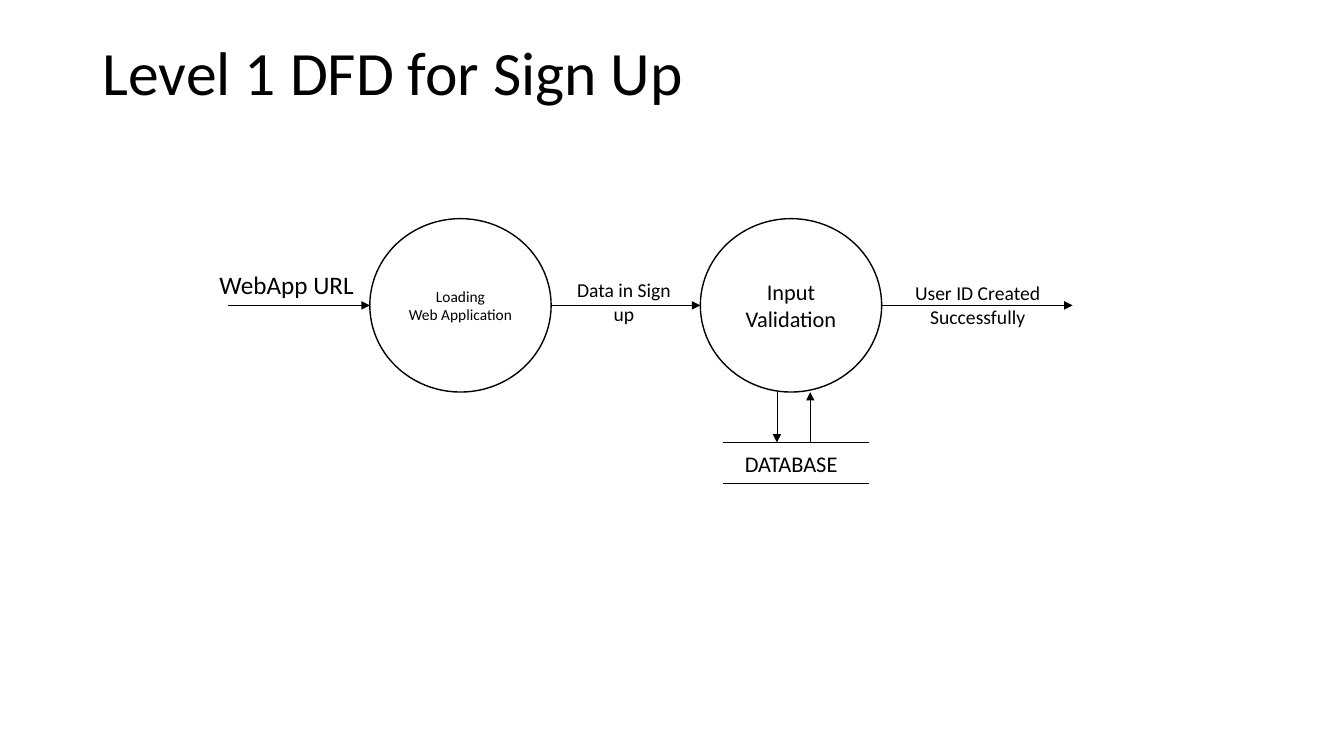
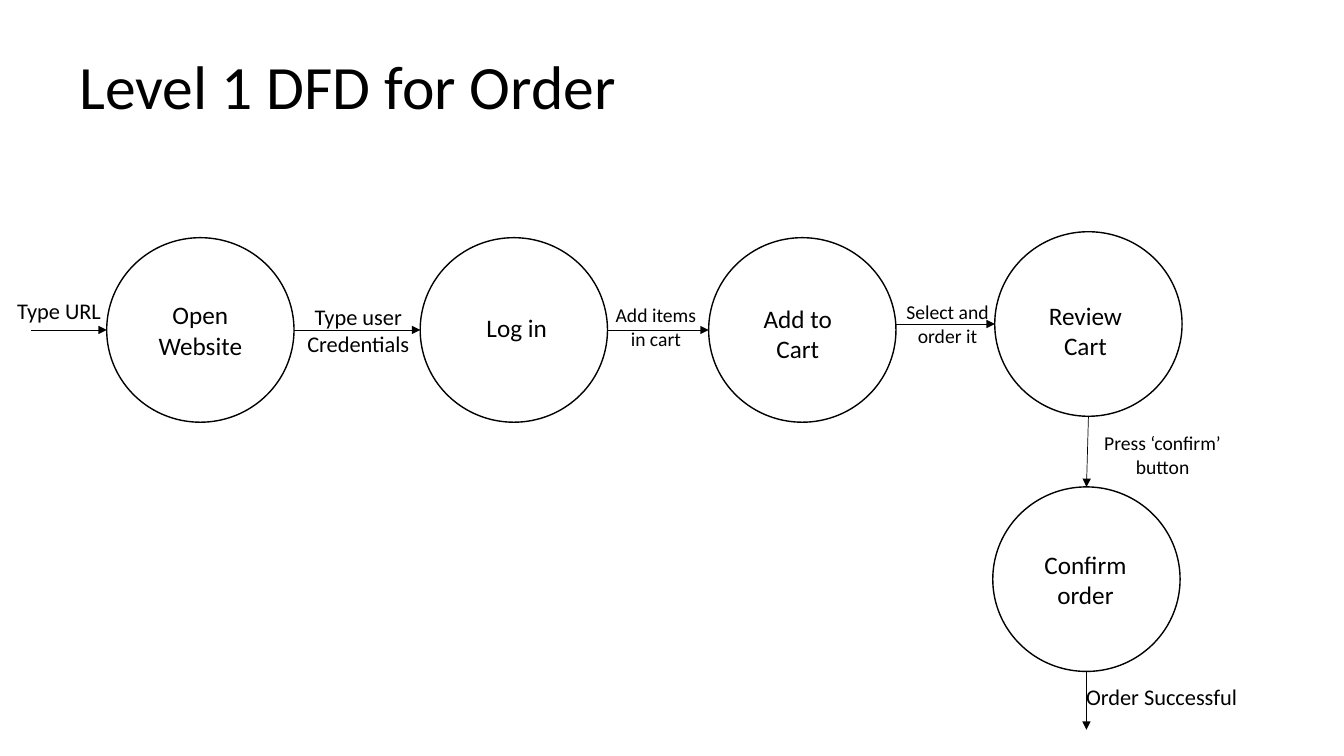
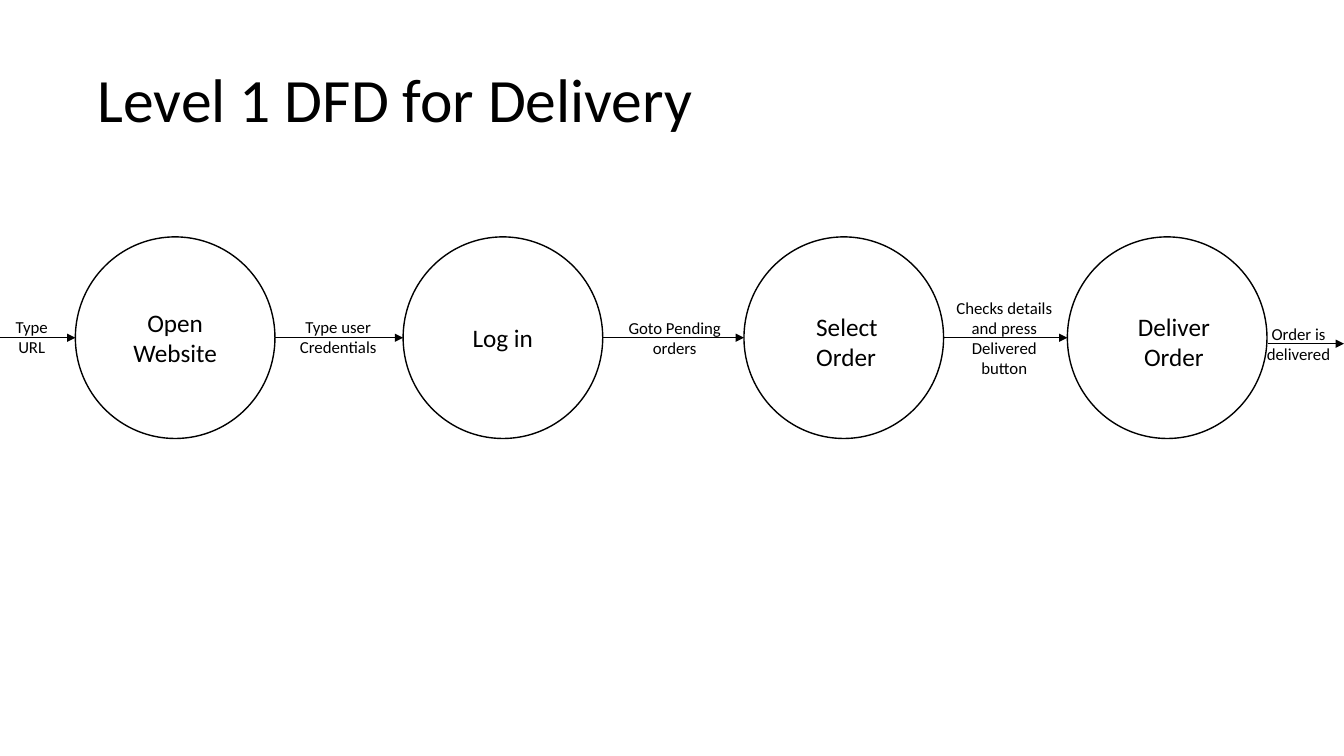
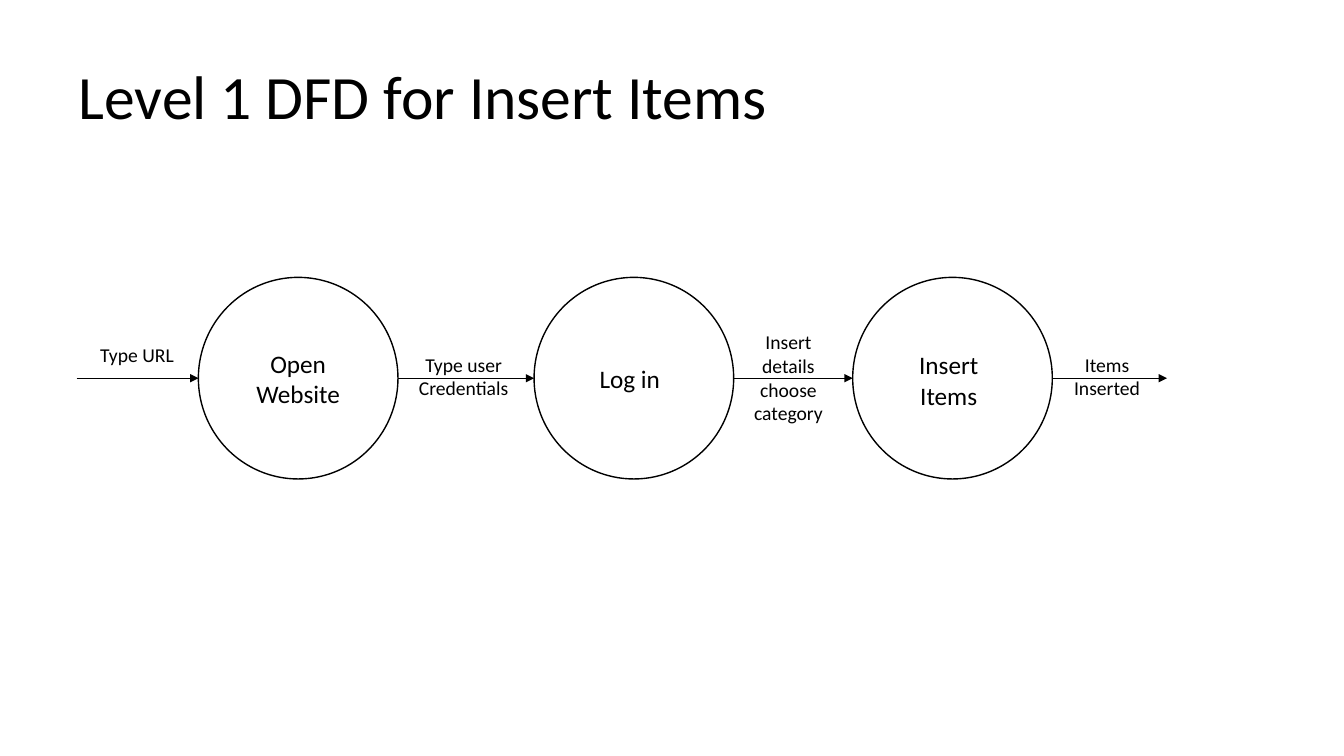
from lxml.etree import SubElement
from pptx import Presentation
from pptx.dml.color import RGBColor
from pptx.enum.shapes import MSO_CONNECTOR, MSO_SHAPE
from pptx.enum.text import MSO_ANCHOR, PP_ALIGN
from pptx.oxml.ns import qn
from pptx.util import Cm, Pt

FONT = "Calibri"
INK, PAPER = "000000", "FFFFFF"
LEFT, CENTER = PP_ALIGN.LEFT, PP_ALIGN.CENTER

# All lengths are centimetres.
# processes: left, top, text, text size; "row" is chained by arrows.
# entry and exit: the x where the first arrow starts and the last one ends.
# arrows and rules: x1, y1, x2, y2.
# labels: text, left, top, width, height, text size, alignment.
DIAGRAMS = [
    {
        "title": "Level 1 DFD for Sign Up",
        "title_box": (2.34, 1.02, 29.21, 1.78),
        "process_size": (4.57, 4.37),
        "row": [(9.32, 5.51, "Loading\nWeb Application", 11),
                (17.65, 5.51, "Input Validation", 16)],
        "entry": 5.74,
        "exit": 27.03,
        "arrows": [(20.42, 11.15, 20.42, 9.88), (19.58, 9.88, 19.58, 11.15)],
        "rules": [(18.21, 11.15, 21.89, 11.15), (18.21, 12.17, 21.89, 12.17)],
        "labels": [
            ("WebApp URL", 5.28, 6.65, 4.72, 1.02, 18, LEFT),
            ("Data in Sign up", 14.05, 6.88, 3.35, 1.45, 14, CENTER),
            ("DATABASE", 18.52, 11.23, 3, 0.94, 16, LEFT),
            ("User ID Created\nSuccessfully", 21.67, 6.96, 5.94, 1.45, 14, CENTER),
        ],
    },
    {
        "title": "Level 1 DFD for Order",
        "title_box": (1.75, 0.41, 29.21, 3.68),
        "process_size": (4.72, 4.65),
        "row": [(2.69, 5.99, "Open Website", 18), (10.59, 5.99, "", 18),
                (17.86, 5.99, "", 18), (25.07, 5.84, "", 18)],
        "below": [(25.02, 12.27, "", 18)],
        "entry": 0.79,
        "arrows": [(27.43, 10.49, 27.38, 12.27), (27.38, 16.92, 27.38, 18.39)],
        "labels": [
            ("Type URL", 0.08, 7.37, 2.82, 0.94, 16, CENTER),
            ("Type user\nCredentials", 7.06, 7.52, 3.94, 1.63, 16, CENTER),
            ("Log in", 12.01, 7.75, 2.08, 1.02, 18, LEFT),
            ("Add items in cart", 15.21, 7.52, 2.64, 1.45, 14, CENTER),
            ("Add to Cart", 18.44, 7.52, 3.33, 1.8, 18, CENTER),
            ("Select and\norder it", 22, 7.44, 3.76, 1.45, 14, CENTER),
            ("Review Cart", 25.68, 7.44, 3.35, 1.8, 18, CENTER),
            ("Press ‘confirm’ button", 26.95, 10.74, 4.7, 1.45, 14, CENTER),
            ("Confirm order", 25.45, 13.72, 3.81, 1.8, 18, CENTER),
            ("Order Successful", 26.52, 17.09, 5.51, 0.94, 16, CENTER),
        ],
    },
    {
        "title": "Level 1 DFD for Delivery",
        "title_box": (2.21, 0.43, 31.17, 4.32),
        "process_size": (5.03, 5.08),
        "row": [(1.9, 5.97, "Open Website", 18), (10.16, 5.97, "", 18),
                (18.75, 5.97, "", 18), (26.9, 5.97, "", 18)],
        "entry": 0,
        "arrows": [(31.95, 8.66, 33.87, 8.66)],
        "labels": [
            ("Type URL", 0, 7.85, 1.6, 1.27, 12, CENTER),
            ("Type user\nCredentials", 6.15, 7.85, 4.75, 1.27, 12, CENTER),
            ("Log in", 11.66, 8, 3.33, 1.02, 18, LEFT),
            ("Goto Pending\norders", 14.96, 7.87, 4.09, 1.27, 12, CENTER),
            ("Select Order", 20.32, 7.72, 2.97, 1.8, 18, LEFT),
            ("Checks details and press Delivered button",
             23.72, 7.37, 3.18, 2.31, 12, CENTER),
            ("Deliver Order", 27.64, 7.72, 3.89, 1.8, 18, CENTER),
            ("Order is delivered", 31.6, 8.03, 2.25, 1.27, 12, CENTER),
        ],
    },
    {
        "title": "Level 1 DFD for Insert Items",
        "title_box": (1.73, 0.33, 31.14, 4.34),
        "process_size": (5.03, 5.08),
        "row": [(5, 6.99, "Open Website", 18), (13.46, 6.99, "", 18),
                (21.49, 6.99, "", 18)],
        "entry": 1.93,
        "exit": 29.41,
        "labels": [
            ("Type URL", 1.93, 8.51, 3.05, 0.86, 14, CENTER),
            ("Type user\nCredentials", 9.93, 8.76, 3.51, 1.45, 14, CENTER),
            ("Log in", 14.86, 9.02, 3.18, 1.02, 18, LEFT),
            ("Insert details choose category", 18.36, 8.2, 3.02, 2.64, 14, CENTER),
            ("Insert Items", 22.17, 8.69, 3.48, 1.8, 18, CENTER),
            ("Items Inserted", 26.39, 8.76, 3.02, 1.45, 14, CENTER),
        ],
    },
]


def color(hex_code):
    return RGBColor.from_string(hex_code)


def write(frame, text, size, align, anchor, line_spacing=None):
    frame.word_wrap = True
    frame.vertical_anchor = anchor
    frame.text = text
    for paragraph in frame.paragraphs:
        paragraph.alignment = align
        paragraph.line_spacing = line_spacing
        paragraph.font.name = FONT
        paragraph.font.size = Pt(size)
        paragraph.font.color.rgb = color(INK)


def add_title(slide, text, box):
    frame = slide.shapes.add_textbox(*map(Cm, box)).text_frame
    write(frame, text, 44, LEFT, MSO_ANCHOR.MIDDLE, 0.9)


def add_label(slide, text, left, top, width, height, size, align):
    box = slide.shapes.add_textbox(Cm(left), Cm(top), Cm(width), Cm(height))
    write(box.text_frame, text, size, align, MSO_ANCHOR.TOP)


def add_process(slide, left, top, width, height, text, size):
    circle = slide.shapes.add_shape(
        MSO_SHAPE.OVAL, Cm(left), Cm(top), Cm(width), Cm(height))
    circle.shadow.inherit = False
    circle.fill.solid()
    circle.fill.fore_color.rgb = color(PAPER)
    circle.line.color.rgb = color(INK)
    circle.line.width = Pt(1)
    if text:
        write(circle.text_frame, text, size, CENTER, MSO_ANCHOR.MIDDLE)


def add_line(slide, ends, arrow):
    connector = slide.shapes.add_connector(MSO_CONNECTOR.STRAIGHT, *map(Cm, ends))
    connector.line.color.rgb = color(INK)
    connector.line.width = Pt(0.5)
    properties = connector._element.spPr
    if arrow:
        SubElement(properties.find(qn("a:ln")), qn("a:tailEnd"), type="triangle")
    SubElement(properties, qn("a:effectLst"))


def row_arrows(diagram):
    """Return the level arrows into, between and out of the processes in the row."""
    width, height = diagram["process_size"]
    arrows = []
    start = diagram["entry"]
    for left, top, _, _ in diagram["row"]:
        middle = top + height / 2
        arrows.append((start, middle, left, middle))
        start = left + width
    if "exit" in diagram:
        arrows.append((start, middle, diagram["exit"], middle))
    return arrows


def add_diagram(presentation, diagram):
    slide = presentation.slides.add_slide(presentation.slide_layouts[6])
    add_title(slide, diagram["title"], diagram["title_box"])
    for left, top, text, size in diagram["row"] + diagram.get("below", []):
        add_process(slide, left, top, *diagram["process_size"], text, size)
    for ends in row_arrows(diagram) + diagram.get("arrows", []):
        add_line(slide, ends, arrow=True)
    for ends in diagram.get("rules", []):
        add_line(slide, ends, arrow=False)
    for label in diagram["labels"]:
        add_label(slide, *label)


def main():
    presentation = Presentation()
    presentation.slide_width = Cm(33.87)
    presentation.slide_height = Cm(19.05)
    for diagram in DIAGRAMS:
        add_diagram(presentation, diagram)
    presentation.save("out.pptx")


if __name__ == "__main__":
    main()
